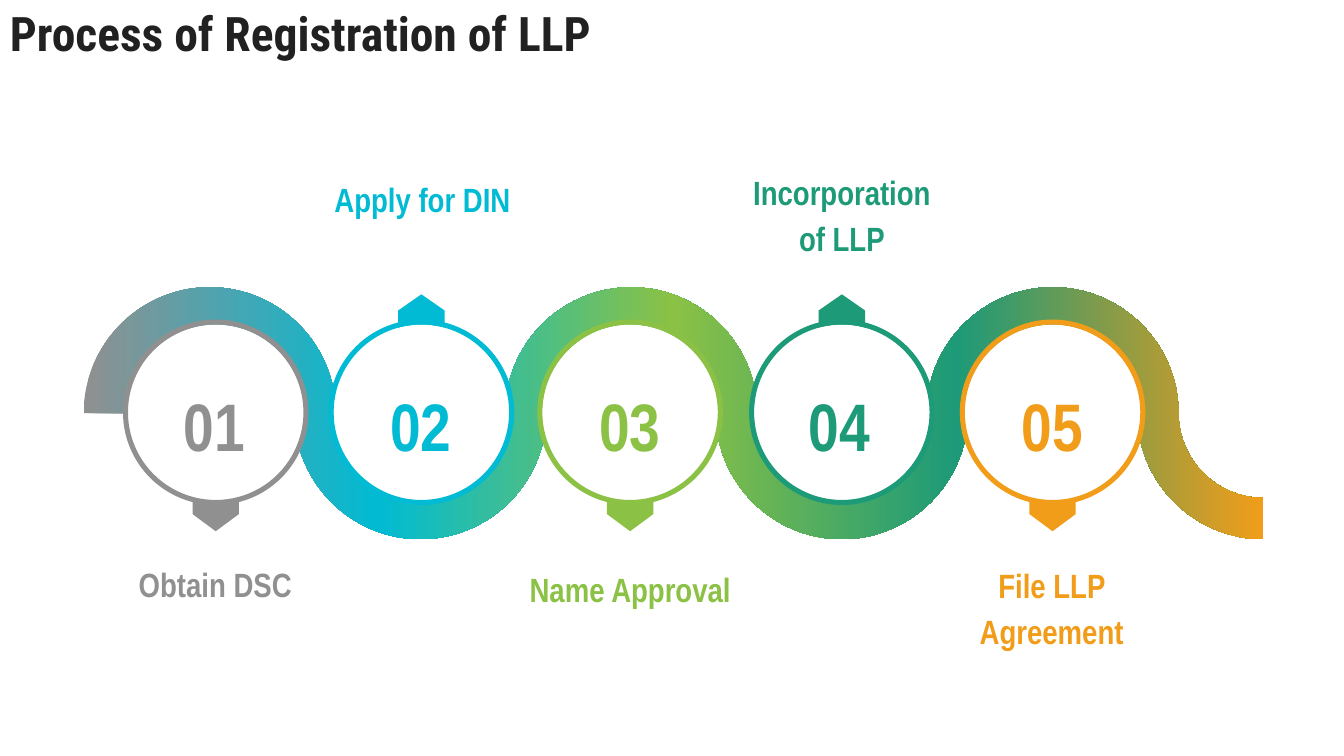
from copy import deepcopy

from lxml import etree
from pptx import Presentation
from pptx.dml.color import RGBColor
from pptx.enum.shapes import MSO_SHAPE
from pptx.enum.text import PP_ALIGN
from pptx.oxml.ns import qn
from pptx.util import Inches, Pt

COLORS = {
    "gray": "909090",
    "cyan": "00BBD3",
    "lime": "8BC145",
    "green": "1D9A78",
    "orange": "F19D19",
    "white": "FFFFFF",
    "ink": "212121",
}

presentation = Presentation()
presentation.slide_width = Inches(13.33)
presentation.slide_height = Inches(7.5)
slide = presentation.slides.add_slide(presentation.slide_layouts[6])


def add_text(shapes, text, left, top, width, height, color, size, font="Arial Narrow",
             align=PP_ALIGN.CENTER, spacing=1.15, inset=0.4 / 3):
    frame = shapes.add_textbox(
        Inches(left), Inches(top), Inches(width), Inches(height)).text_frame
    frame.word_wrap = True
    frame.margin_left = frame.margin_right = Inches(inset)
    frame.margin_top = frame.margin_bottom = Inches(inset)
    paragraph = frame.paragraphs[0]
    paragraph.alignment = align
    paragraph.line_spacing = spacing
    run = paragraph.add_run()
    run.text = text
    run.font.name = font
    run.font.size = Pt(size)
    run.font.bold = True
    run.font.color.rgb = RGBColor.from_string(COLORS[color])


def add_outline(shapes, points):
    corners = [(Inches(x), Inches(y)) for x, y in points]
    builder = shapes.build_freeform(*corners[0])
    builder.add_line_segments(corners[1:], close=True)
    shape = builder.convert_to_shape()
    shape.shadow.inherit = False
    shape.line.fill.background()
    return shape


# Wavy ribbon: quarter arcs above and below the axis, three curve points each
AXIS = 4.1
INNER, OUTER = 0.84, 1.25
HANDLE = 0.55
edges = []
for radii in ((INNER, OUTER), (OUTER, INNER)):
    edge = [(2.08 - radii[0], AXIS)]
    for arc in range(6):
        center = 2.08 + arc * (INNER + OUTER)
        radius = radii[arc % 2]
        side = 1 if arc % 2 else -1
        quarters = [(-1, HANDLE), (-HANDLE, 1), (0, 1), (HANDLE, 1), (1, HANDLE), (1, 0)]
        for x, y in quarters if arc < 5 else quarters[:3]:
            edge.append((center + radius * x, AXIS + side * radius * y))
    edges.append(edge)
ribbon = add_outline(slide.shapes, edges[0] + edges[1][::-1])

# Turn each run of three straight segments into one curve; keep the end cap straight
segments = list(ribbon.element.iter(qn("a:lnTo")))
curve_points = len(edges[0]) - 1
for side in (segments[:curve_points], segments[curve_points + 1:]):
    for first in range(0, curve_points, 3):
        curve = etree.Element(qn("a:cubicBezTo"))
        side[first].addprevious(curve)
        for segment in side[first:first + 3]:
            curve.append(segment[0])
            segment.getparent().remove(segment)

# Five-colour gradient along the ribbon
ribbon.fill.gradient()
ribbon.fill.gradient_angle = 0
stop_parent = ribbon.element.spPr.find(qn("a:gradFill")).find(qn("a:gsLst"))
for extra in range(3):
    stop_parent.append(deepcopy(stop_parent[0]))
stops = zip(("gray", "cyan", "lime", "green", "orange"), (0, 0.25, 0.5, 0.74, 1))
for stop, (color, position) in zip(ribbon.fill.gradient_stops, stops):
    stop.color.rgb = RGBColor.from_string(COLORS[color])
    stop.position = position

# Labels: text, left, top, width, colour, line spacing
labels = [
    ("Incorporation of LLP", 7.29, 1.51, 2.12, "green", 1.15),
    ("File LLP Agreement", 9.14, 5.41, 2.58, "orange", 1.15),
    ("Obtain DSC", 1.05, 5.4, 2.17, "gray", 1.15),
    ("Apply for DIN", 3.13, 1.58, 2.12, "cyan", 1.15),
    ("Name Approval", 4.91, 5.56, 2.68, "lime", 0.9),
]
for text, left, top, width, color, spacing in labels:
    add_text(slide.shapes, text, left, top, width, 0.56, color, 24, spacing=spacing)

# Badges: number, colour, circle centre, number left, pointer heights (base, shoulder, tip)
UP, DOWN = (3.74, 3.08, 2.92), (4.45, 5.1, 5.27)
badges = [
    ("04", "green", 8.35, 7.8, UP),
    ("03", "lime", 6.25, 5.72, DOWN),
    ("01", "gray", 2.14, 1.6, DOWN),
    ("02", "cyan", 4.18, 3.65, UP),
    ("05", "orange", 10.44, 9.91, DOWN),
]
DISC, RING = 1.75, 1.84
for number, color, center, number_left, (base, shoulder, tip) in badges:
    group = slide.shapes.add_group_shape().shapes
    left, right = center - 0.23, center + 0.23
    pointer = add_outline(group, [
        (left, base), (left, shoulder), (center, tip), (right, shoulder), (right, base)])
    parts = [(pointer, color)]

    # White disc and coloured ring
    for preset, size, top, fill in ((MSO_SHAPE.OVAL, DISC, 3.22, "white"),
                                    (MSO_SHAPE.DONUT, RING, 3.17, color)):
        circle = group.add_shape(preset, Inches(center - size / 2), Inches(top),
                                 Inches(size), Inches(size))
        circle.shadow.inherit = False
        circle.line.fill.background()
        parts.append((circle, fill))
    circle.adjustments[0] = 0.05 / RING

    for shape, fill in parts:
        shape.fill.solid()
        shape.fill.fore_color.rgb = RGBColor.from_string(COLORS[fill])
    add_text(group, number, number_left, 3.56, 1.05, 0.76, color, 48)

# Title
add_text(slide.shapes, "Process of Registration of LLP", 0, 0, 13.33, 0.78, "ink", 34,
         font="Roboto Condensed", align=PP_ALIGN.LEFT, spacing=0.9, inset=0.1)

presentation.save("out.pptx")
